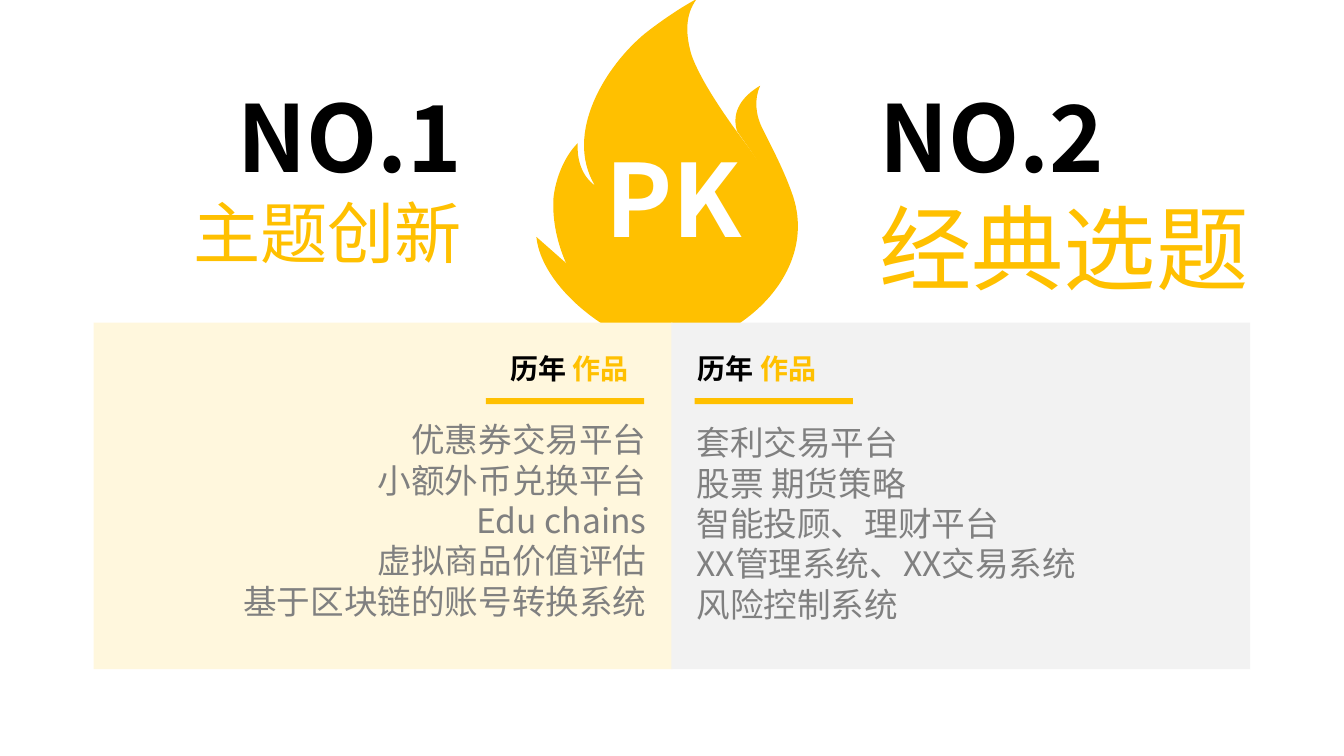
"""Build the PK slide comparing two topic choices."""
from lxml import etree
from pptx import Presentation, util as u
from pptx.dml.color import RGBColor
from pptx.enum import shapes, text
from pptx.oxml import ns

PX = 9144
FONT = "Noto Sans CJK SC"
GOLD = RGBColor(0xFF, 0xC0, 0x00)
CREAM = RGBColor(0xFF, 0xF7, 0xDD)
PALE = RGBColor(0xF2, 0xF2, 0xF2)
GREY = RGBColor(0x80, 0x80, 0x80)
BLACK = RGBColor(0, 0, 0)
WHITE = RGBColor(0xFF, 0xFF, 0xFF)
LEFT, RIGHT = text.PP_ALIGN.LEFT, text.PP_ALIGN.RIGHT

FLAMES = [
    ((669, 347), [
        (696, 342, 717, 333, 736, 319), (777, 290, 802, 244, 787, 196),
        (779, 172, 768, 151, 757, 129), (749, 114, 748, 98, 754, 85),
        (737, 95, 725, 110, 731, 130), (738, 140, 746, 151, 750, 158),
        (761, 177, 768, 188, 771, 208), (779, 246, 761, 286, 730, 311),
        (714, 324, 689, 339, 669, 347)]),
    ((669, 347), [
        (702, 339, 723, 326, 747, 299), (772, 271, 780, 239, 775, 212),
        (770, 180, 744, 149, 726, 124), (712, 104, 694, 77, 686, 55),
        (680, 35, 679, 15, 691, -1), (674, 8, 654, 22, 640, 33),
        (601, 65, 559, 132, 590, 184), (576, 174, 572, 156, 573, 142),
        (559, 156, 551, 178, 549, 196), (545, 258, 591, 331, 659, 347)]),
    ((669, 347), [
        (685, 341, 701, 330, 710, 319), (728, 297, 729, 263, 705, 247),
        (716, 256, 714, 276, 702, 280), (691, 283, 686, 272, 690, 262),
        (696, 250, 706, 239, 706, 226), (707, 214, 699, 202, 691, 196),
        (696, 216, 683, 231, 671, 239), (670, 239, 670, 239, 670, 239),
        (678, 233, 684, 223, 686, 213),
        (695, 181, 673, 141, 646, 129), (659, 142, 654, 163, 650, 178),
        (638, 212, 605, 231, 602, 275), (600, 310, 632, 340, 659, 347)]),
    ((659, 347), [(603, 337, 537, 284, 532, 235)]),
]
PK = ((591, 131, 157, 131), "PK", 72)
SIDES = [
    {"align": RIGHT, "number": "NO.1", "topic": "主题创新", "topic_size": 48,
     "title_box": (179, 75, 289, 202), "panel_x": 93, "panel_color": CREAM,
     "label_x": 496, "rule_x": 482, "works_box": (109, 411, 542, 232),
     "works": ["优惠券交易平台", "小额外币兑换平台", "Edu chains",
               "虚拟商品价值评估", "基于区块链的账号转换系统"]},
    {"align": LEFT, "number": "NO.2", "topic": "经典选题", "topic_size": 66,
     "title_box": (862, 75, 390, 232), "panel_x": 666, "panel_color": PALE,
     "label_x": 682, "rule_x": 689, "works_box": (681, 414, 542, 212),
     "works": ["套利交易平台", "股票 期货策略", "智能投顾、理财平台",
               "XX管理系统、XX交易系统", "风险控制系统"]},
]
LABEL = [("历年 ", 20, BLACK, True), ("作品", 20, GOLD, True)]


def px(*lengths):
    return [u.Emu(length * PX) for length in lengths]


def paint(shape, color):
    shape.shadow.inherit = False
    shape.fill.solid()
    shape.fill.fore_color.rgb = color
    shape.line.fill.background()


def add_bar(slide, box, color):
    paint(slide.shapes.add_shape(shapes.MSO_SHAPE.RECTANGLE, *px(*box)), color)


def add_text(slide, box, lines, align=LEFT, wrap=False):
    frame = slide.shapes.add_textbox(*px(*box)).text_frame
    frame.word_wrap = wrap
    frame.auto_size = text.MSO_AUTO_SIZE.SHAPE_TO_FIT_TEXT
    for index, line in enumerate(lines):
        paragraph = frame.paragraphs[0] if index == 0 else frame.add_paragraph()
        paragraph.alignment = align
        for words, size, color, bold in line:
            run = paragraph.add_run()
            run.text = words
            run.font.color.rgb = color
            look = {"name": FONT, "size": u.Pt(size), "bold": bold}
            for key, value in look.items():
                setattr(run.font, key, value)


def bend(tongue):
    """Turn every three straight segments into one Bézier curve."""
    segments = list(tongue.element.iter(ns.qn("a:lnTo")))
    for first in range(0, len(segments), 3):
        curve = etree.Element(ns.qn("a:cubicBezTo"))
        segments[first].addprevious(curve)
        for segment in segments[first:first + 3]:
            curve.append(segment[0])
            segment.getparent().remove(segment)


def add_flame(slide):
    tongues = []
    for start, curves in FLAMES:
        points = [curve[i:i + 2] for curve in curves for i in (0, 2, 4)]
        builder = slide.shapes.build_freeform(*start, scale=PX)
        builder.add_line_segments(points, close=True)
        tongue = builder.convert_to_shape()
        bend(tongue)
        paint(tongue, GOLD)
        tongues.append(tongue)
    slide.shapes.add_group_shape(tongues)


def add_side(slide, side):
    align = side["align"]
    add_text(slide, side["title_box"],
             [[(side["number"], 66, BLACK, True)],
              [(side["topic"], side["topic_size"], GOLD, False)]], align)
    add_bar(slide, (side["panel_x"], 320, 574, 344), side["panel_color"])
    add_text(slide, side["works_box"],
             [[(work, 24, GREY, False)] for work in side["works"]], align, True)
    add_text(slide, (side["label_x"], 344, 141, 44), [LABEL])
    add_bar(slide, (side["rule_x"], 395, 157, 6), GOLD)


def main():
    deck = Presentation()
    deck.slide_width, deck.slide_height = px(1333, 750)
    slide = deck.slides.add_slide(deck.slide_layouts[6])
    add_flame(slide)
    box, words, size = PK
    add_text(slide, box, [[(words, size, WHITE, True)]])
    for side in SIDES:
        add_side(slide, side)
    deck.save("out.pptx")


if __name__ == "__main__":
    main()
